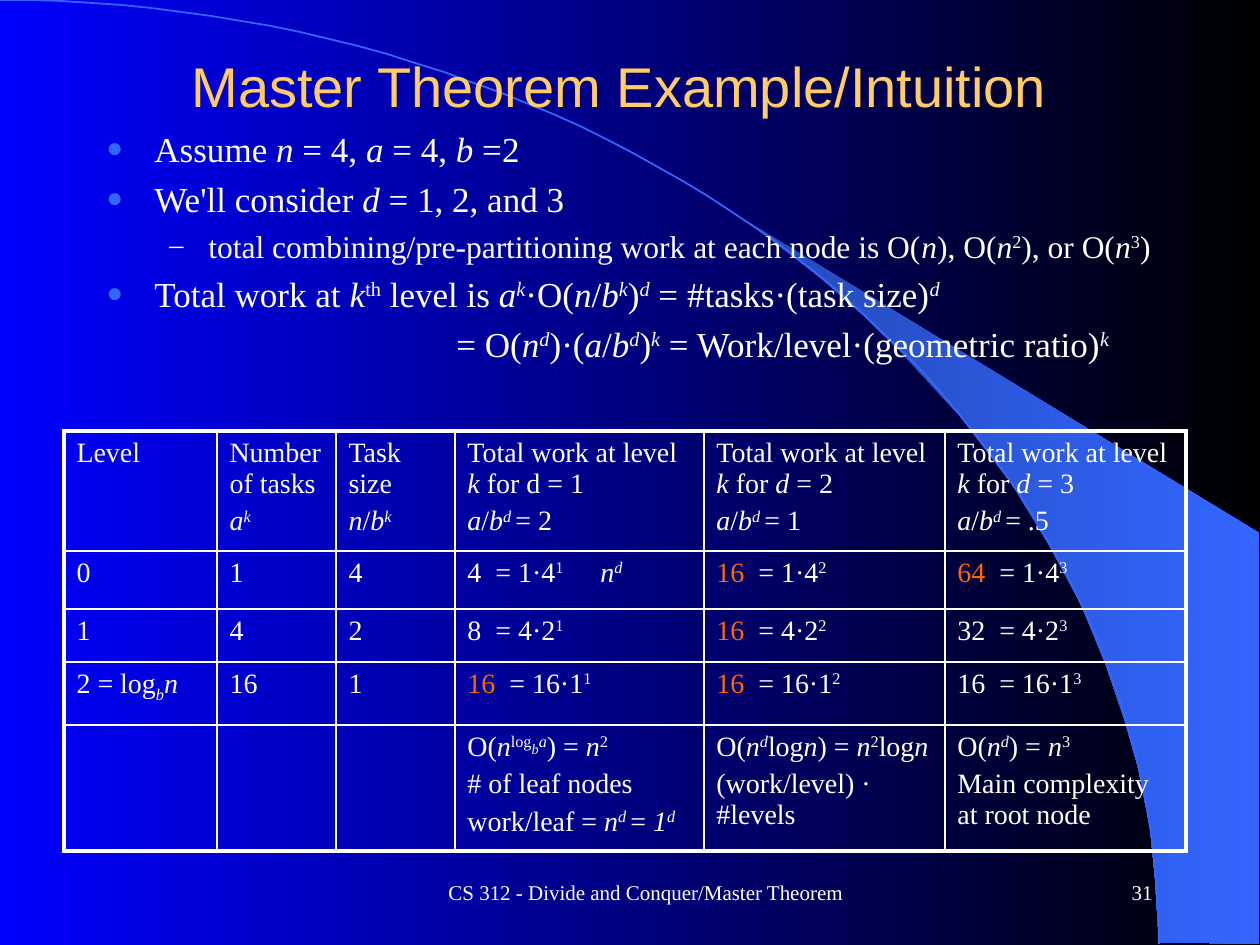
import math

from lxml import etree
from pptx import Presentation
from pptx import util as u
from pptx.dml.color import RGBColor
from pptx.enum import text
from pptx.oxml import ns

PX = 914400 / 126
SERIF, SANS = "Times New Roman", "Arial"
WHITE, GOLD, ORANGE, BLUE = "FFFFFF", "FFCC66", "FF6600", "3366FF"
BASELINES = {"^": 30000, "_": -25000, "%": 6000}

COLUMNS = [153, 119, 119, 249, 241, 241]
ROWS = [111, 58, 53, 63, 116]
# Markup: * italic, ^ superscript, _ subscript, % raised subscript, ~ orange
CELLS = [
    ["Level", "Number of tasks\n*a^k^*", "Task size\n*n*/*b^k^*",
     "Total work at level *k* for d = 1\n*a*/*b^d ^*= 2",
     "Total work at level *k* for *d* = 2\n*a*/*b^d ^*= 1",
     "Total work at level *k* for *d* = 3\n*a*/*b^d ^*= .5"],
    ["0", "1", "4", "4  = 1·4^1^\t*n^d^*", "~16~  = 1·4^2^", "~64~  = 1·4^3^"],
    ["1", "4", "2", "8  = 4·2^1^", "~16~  = 4·2^2^", "32  = 4·2^3^"],
    ["2 = log*_b_n*", "16", "1", "~16~  = 16·1^1^", "~16~  = 16·1^2^", "16  = 16·1^3^"],
    ["", "", "",
     "O(*n*^log^*%b%^a^*) = *n*^2^\n# of leaf nodes\nwork/leaf = *n^d ^*= *1^d^*",
     "O(*n^d^*log*n*) = *n*^2^log*n*\n(work/level) · #levels",
     "O(*n^d^*) = *n*^3^\nMain complexity at root node"],
]
# Text, size, left margin, hanging indent, bullet, bullet colour, bullet percent
BULLETS = [
    ("Assume *n* = 4, *a* = 4, *b* =2", 20, 48, -48, "●", BLUE, 80),
    ("We'll consider *d* = 1, 2, and 3", 20, 48, -48, "●", BLUE, 80),
    ("total combining/pre-partitioning work at each node is "
     "O(*n*), O(*n*^2^), or O(*n*^3^)", 18, 102, -39, "–", WHITE, 90),
    ("Total work at *k*^th^ level is *a^k^*·O(*n*/*b^k^*)*^d^* = "
     "#tasks·(task size)*^d^*", 20, 48, -48, "●", BLUE, 80),
    ("= O(*n^d^*)·(*a*/*b^d^*)*^k^* = Work/level·(geometric ratio)*^k^*",
     20, 350, 0, None, None, None),
]
WEDGE = [(1159, 942), (1259, 944), (1259, 533), (742, 218), (786, 251), (823, 280),
         (863, 315), (902, 353), (960, 416), (1012, 484), (1048, 543), (1081, 604),
         (1106, 665), (1125, 721), (1138, 767), (1150, 827), (1155, 877)]


def px(length):
    """Turn pixels into EMU."""
    return u.Emu(round(length * PX))


def color(hex_code):
    """Turn a hex string into a colour."""
    return RGBColor.from_string(hex_code)


def add_xml(parent, tag, **attributes):
    """Append a DrawingML element and return it."""
    return etree.SubElement(parent, ns.qn("a:" + tag), attributes)


def set_gradient(fill, start, end):
    """Fill with a left-to-right gradient of two colours."""
    fill.gradient()
    fill.gradient_angle = 0
    for stop, hex_code, position in zip(fill.gradient_stops, (start, end), (0, 1)):
        stop.color.rgb = color(hex_code)
        stop.position = position


def write(paragraph, markup, size, font=SERIF, hex_code=WHITE):
    """Write marked-up text as runs on one paragraph."""
    paragraph.font.name = font
    paragraph.font.size = u.Pt(size)
    paragraph.font.color.rgb = color(hex_code)
    italic, orange, baseline, words = False, False, 0, ""
    for mark in markup + "~":
        if mark not in "*~^_%":
            words += mark
            continue
        if words:
            run = paragraph.add_run()
            run.text = words
            if italic:
                run.font.italic = True
            if orange:
                run.font.color.rgb = color(ORANGE)
            if baseline == BASELINES["%"]:
                run.font.size = u.Pt(14)
            if baseline:
                run._r.get_or_add_rPr().set("baseline", str(baseline))
        words = ""
        if mark == "*":
            italic = not italic
        elif mark == "~":
            orange = not orange
        else:
            baseline = 0 if baseline == BASELINES[mark] else BASELINES[mark]


def add_box(slide, left, top, width, height, anchor=text.MSO_ANCHOR.MIDDLE):
    """Add a wrapping text box and return its frame."""
    frame = slide.shapes.add_textbox(px(left), px(top), px(width), px(height)).text_frame
    frame.word_wrap = True
    frame.vertical_anchor = anchor
    return frame


def add_label(slide, box, words, align, size=12, font=SERIF, hex_code=WHITE):
    """Add a single line of text."""
    paragraph = add_box(slide, *box).paragraphs[0]
    paragraph.alignment = align
    write(paragraph, words, size, font, hex_code)


def add_outline(slide, points, close):
    """Add a freeform through the points."""
    builder = slide.shapes.build_freeform(*points[0], scale=PX)
    builder.add_line_segments(points[1:], close=close)
    outline = builder.convert_to_shape()
    outline.shadow.inherit = False
    return outline


def add_backdrop(slide):
    """Add the background gradient, the wedge and the arc."""
    set_gradient(slide.background.fill, "0000FF", "000000")
    wedge = add_outline(slide, WEDGE, True)
    set_gradient(wedge.fill, "2449B6", BLUE)
    wedge.line.fill.background()
    angles = [math.radians(1.5 * step) for step in range(61)]
    arc = add_outline(slide, [(round(1159 * math.sin(a), 2), round(944 - 944 * math.cos(a), 2))
                              for a in angles], False)
    arc.fill.background()
    arc.line.color.rgb = color(BLUE)
    arc.line.width = u.Pt(1)


def add_bullets(slide):
    """Add the bulleted assumptions."""
    frame = add_box(slide, 94, 121, 1113, 257, text.MSO_ANCHOR.TOP)
    for index, (words, size, margin, indent, bullet, tint, percent) in enumerate(BULLETS):
        paragraph = frame.add_paragraph() if index else frame.paragraphs[0]
        properties = paragraph._p.get_or_add_pPr()
        properties.set("marL", str(px(margin)))
        properties.set("indent", str(px(indent)))
        if bullet:
            add_xml(add_xml(properties, "buClr"), "srgbClr", val=tint)
            add_xml(properties, "buSzPct", val=str(percent * 1000))
            add_xml(properties, "buFont", typeface=SERIF)
            add_xml(properties, "buChar", char=bullet)
        paragraph.space_before = u.Pt(size * 0.23)
        write(paragraph, words, size)


def set_borders(cell, outer):
    """Draw white cell borders, thicker on the outer sides."""
    properties = cell._tc.get_or_add_tcPr()
    for side in "LRTB":
        width = u.Pt(2.25 if side in outer else 1)
        line = add_xml(properties, "ln" + side, w=str(width))
        add_xml(add_xml(line, "solidFill"), "srgbClr", val=WHITE)
    cell.fill.background()


def add_work_table(slide):
    """Add the table of work per level."""
    table = slide.shapes.add_table(len(ROWS), len(COLUMNS), px(64), px(431),
                                   px(sum(COLUMNS)), px(sum(ROWS))).table
    table.first_row = table.horz_banding = False
    for column, width in zip(table.columns, COLUMNS):
        column.width = px(width)
    for r, height in enumerate(ROWS):
        table.rows[r].height = px(height)
        for c, markup in enumerate(CELLS[r]):
            cell = table.cell(r, c)
            edges = {"L": c == 0, "R": c == len(COLUMNS) - 1,
                     "T": r == 0, "B": r == len(ROWS) - 1}
            set_borders(cell, [side for side, is_outer in edges.items() if is_outer])
            for index, words in enumerate(markup.split("\n")):
                frame = cell.text_frame
                paragraph = frame.add_paragraph() if index else frame.paragraphs[0]
                if "\t" in words:
                    tabs = add_xml(paragraph._p.get_or_add_pPr(), "tabLst")
                    add_xml(tabs, "tab", pos=str(px(133)), algn="l")
                paragraph.space_before = u.Pt(16 * 0.23)
                write(paragraph, words, 16)


def main():
    """Build the slide."""
    deck = Presentation()
    deck.slide_width, deck.slide_height = px(1260), px(945)
    slide = deck.slides.add_slide(deck.slide_layouts[6])
    add_backdrop(slide)
    add_label(slide, (399, 861, 494, 63), "CS 312 - Divide and Conquer/Master Theorem",
              text.PP_ALIGN.CENTER)
    add_label(slide, (903, 861, 262, 63), "31", text.PP_ALIGN.RIGHT)
    add_label(slide, (84, 27, 1071, 116), "Master Theorem Example/Intuition",
              text.PP_ALIGN.CENTER, 32, SANS, GOLD)
    add_work_table(slide)
    add_bullets(slide)
    deck.save("out.pptx")


main()
